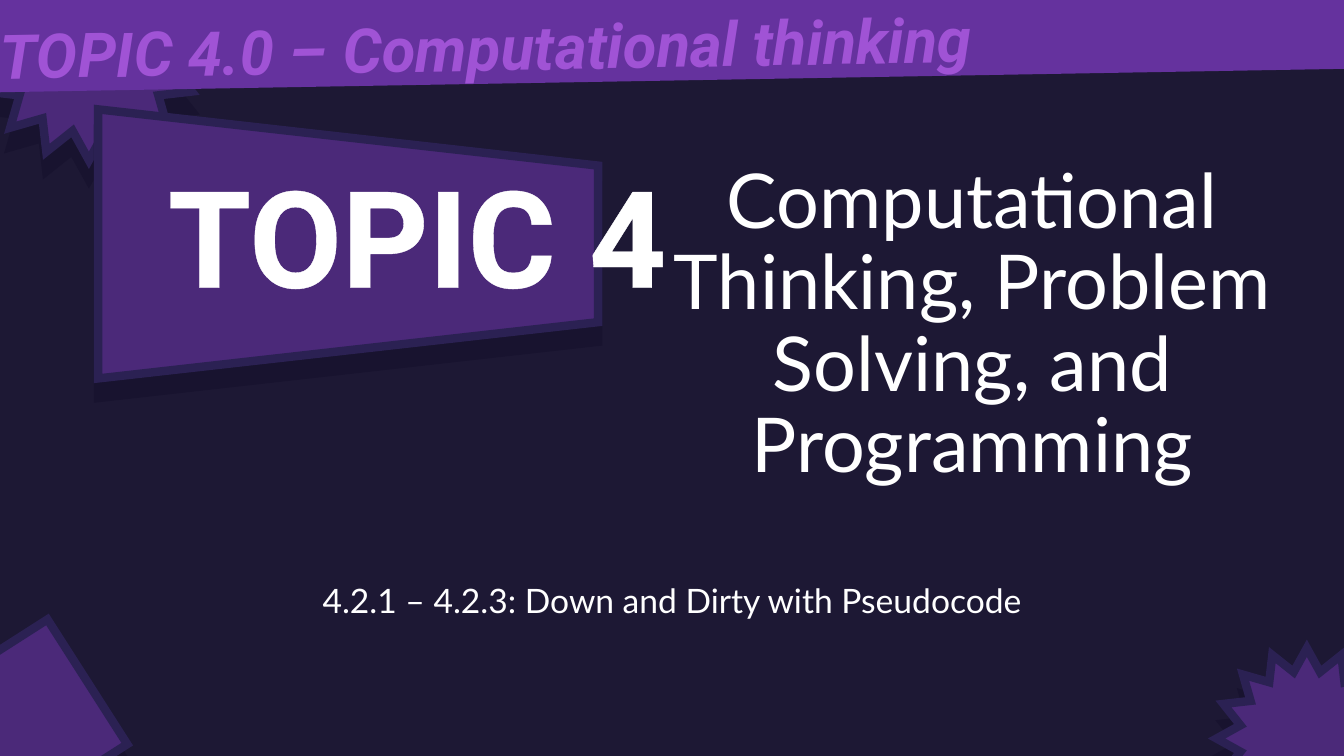
from pptx import Presentation
from pptx.dml.color import RGBColor
from pptx.enum.shapes import MSO_SHAPE as Shape
from pptx.enum.text import MSO_ANCHOR as Anchor, PP_ALIGN as Align
from pptx.oxml import parse_xml
from pptx.oxml.ns import nsdecls, qn
from pptx.util import Pt

COLORS = {
    "night": "1D1834",
    "banner": "65329E",
    "violet": "4B2979",
    "edge": "2B2153",
    "shadow": "18132F",
    "orchid": "A053D5",
    "white": "FFFFFF",
}


class SlideBuilder:
    def __init__(self, deck):
        self.slide = deck.slides.add_slide(deck.slide_layouts[6])
        self.paint(self.slide.background.fill, "night")

    def paint(self, fill, color):
        fill.solid()
        fill.fore_color.rgb = RGBColor.from_string(COLORS[color])

    def panel(self, kind, bounds, color, rotation=0):
        panel = self.slide.shapes.add_shape(kind, *map(Pt, bounds))
        panel.rotation = rotation
        panel.shadow.inherit = False
        self.paint(panel.fill, color)
        panel.line.fill.background()
        return panel

    def badge(self, kind, bounds, rotation=0):
        badge = self.panel(kind, bounds, "violet", rotation)
        self.paint(badge.line.fill, "edge")
        badge.line.width = Pt(6)
        properties = badge.element.spPr
        properties.get_or_add_ln().append(
            parse_xml(f'<a:miter {nsdecls("a")} lim="800000"/>'))
        properties.find(qn("a:effectLst")).append(parse_xml(
            f'<a:outerShdw {nsdecls("a")} dist="{Pt(14)}" dir="5400000" '
            f'algn="t" rotWithShape="0"><a:srgbClr val="{COLORS["shadow"]}"/>'
            '</a:outerShdw>'))
        return badge

    def text(self, words, bounds, size, font="Lato", color="white",
             align=Align.CENTER, anchor=Anchor.TOP, spacing=None,
             bold=False, italic=False, outline=0, rotation=0):
        box = self.slide.shapes.add_textbox(*map(Pt, bounds))
        box.rotation = rotation
        frame = box.text_frame
        frame.word_wrap = True
        frame.vertical_anchor = anchor
        para = frame.paragraphs[0]
        para.alignment = align
        para.line_spacing = spacing
        span = para.add_run()
        span.text = words
        span.font.name = font
        span.font.size = Pt(size)
        span.font.bold = bold
        span.font.italic = italic
        self.paint(span.font.fill, color)
        if outline:
            span.font._element.insert(0, parse_xml(
                f'<a:ln {nsdecls("a")} w="{Pt(outline)}"><a:solidFill>'
                f'<a:srgbClr val="{COLORS[color]}"/></a:solidFill></a:ln>'))


def main():
    deck = Presentation()
    deck.slide_width, deck.slide_height = Pt(960), Pt(540)
    builder = SlideBuilder(deck)

    builder.badge(Shape.STAR_16_POINT, (-16, -44.5, 159, 159))
    builder.text("Computational Thinking, Problem Solving, and Programming",
                 (466, 130.5, 457, 222.5), 54, anchor=Anchor.BOTTOM, spacing=0.9)
    builder.text("4.2.1 – 4.2.3: Down and Dirty with Pseudocode",
                 (120, 414, 720, 56), 24, spacing=0.9)

    builder.panel(Shape.RECTANGLE, (-16, -49, 998, 106.5), "banner", 359)
    builder.text("TOPIC 4.0 – Computational thinking", (-7, -0.7, 1142.6, 60.5),
                 44, font="Roboto", color="orchid", align=Align.LEFT,
                 bold=True, italic=True, outline=1.5, rotation=359)

    sign = builder.badge(Shape.TRAPEZOID, (152.6, -4.3, 192.2, 357.1), 90)
    sign.adjustments[0] = 0.209
    builder.text("TOPIC 4", (42.5, 106, 511, 124), 96, font="Roboto",
                 bold=True, outline=3)

    builder.badge(Shape.RECTANGLE, (-41, 464.4, 112.3, 105.8), 327.4)
    builder.badge(Shape.STAR_16_POINT, (869, 463, 129, 129))
    deck.save("out.pptx")


if __name__ == "__main__":
    main()
